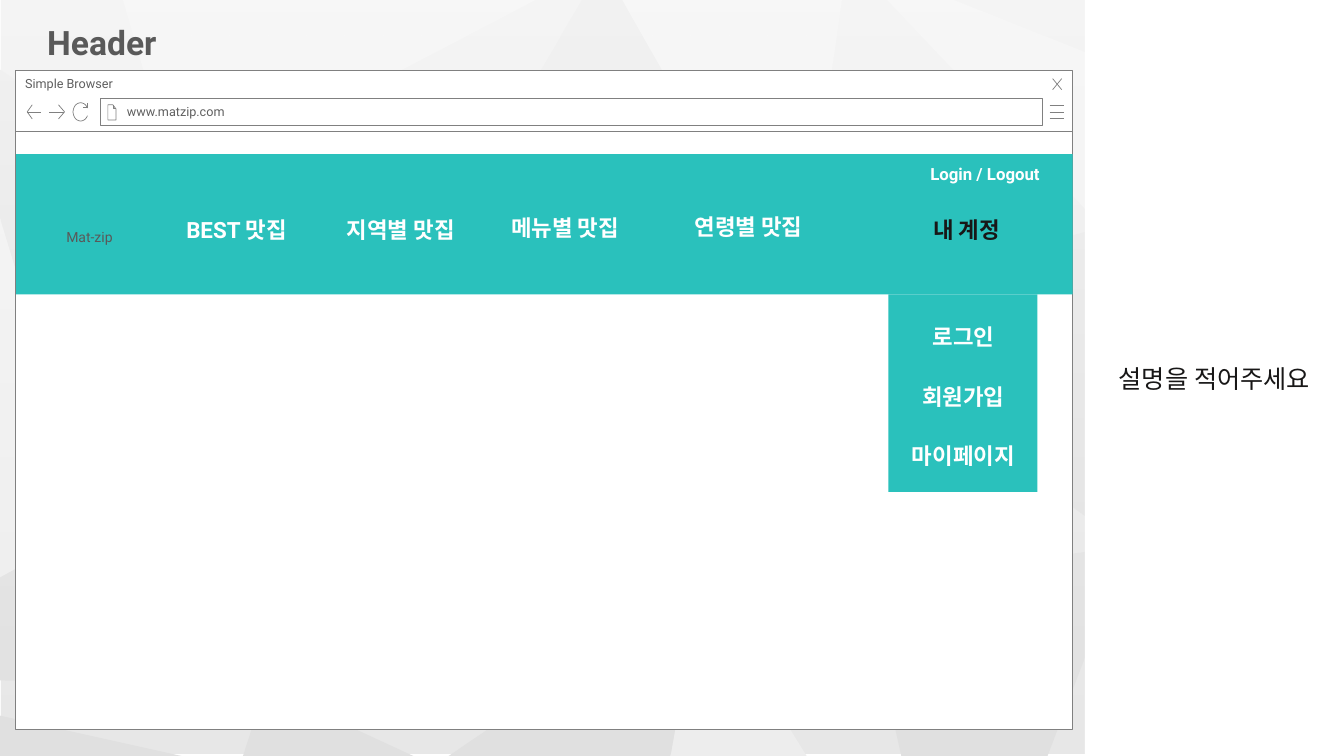
from math import cos, radians, sin

from lxml.etree import SubElement
from pptx import Presentation
from pptx.dml.color import RGBColor
from pptx.enum.shapes import MSO_SHAPE as SHAPE
from pptx.enum.text import MSO_ANCHOR as ANCHOR, PP_ALIGN as ALIGN
from pptx.oxml.ns import qn
from pptx.util import Inches, Pt

# Grid: 100 columns and 100 rows to the inch
U = Inches(0.01)
COLS, ROWS = 1333, 750
TEAL, WHITE, GREY = "2AC1BC", "FFFFFF", "808080"
INK, DARK, SOFT = "181717", "595959", "5F5F5F"

prs = Presentation()
prs.slide_width, prs.slide_height = COLS * U, ROWS * U
s = prs.slides.add_slide(prs.slide_layouts[6])


def paint(sp, fill=None, line=None, width=0.5):
    sp.shadow.inherit = False
    if fill:
        sp.fill.solid()
        sp.fill.fore_color.rgb = RGBColor.from_string(fill)
    else:
        sp.fill.background()
    if line:
        sp.line.color.rgb = RGBColor.from_string(line)
        sp.line.width = Pt(width)
    else:
        sp.line.fill.background()


def write(sp, text, size, color, bold=False, align=ALIGN.CENTER, anchor=ANCHOR.TOP):
    tf = sp.text_frame
    tf.word_wrap = True
    tf.vertical_anchor = anchor
    p = tf.paragraphs[0]
    p.text = text
    p.alignment = align
    font = p.runs[0].font
    font.name, font.size, font.bold = "Roboto", Pt(size), bold
    font.color.rgb = RGBColor.from_string(color)


# Faceted background
base = s.shapes.add_shape(SHAPE.RECTANGLE, U, 0, 1331 * U, 748 * U)
paint(base, "E7E7E7")
facets = {
    "EDEDED": [
        [(695, 580), (665, 750), (800, 750)],
        [(0, 216), (0, 573), (93, 522)],
        [(880, 0), (1094, 226), (1333, 161), (1333, 154), (946, 0)],
        [(122, 0), (176, 186), (531, 0)],
        [(617, 0), (791, 307), (835, 0)],
    ],
    "E0E0E0": [
        [(93, 522), (0, 573), (0, 675), (263, 682)],
        [(263, 682), (241, 750), (410, 750)],
        [(0, 710), (0, 750), (180, 750)],
        [(1118, 542), (855, 577), (894, 750), (1039, 750)],
        [(695, 580), (445, 750), (665, 750)],
        [(1333, 161), (791, 307), (1118, 542), (1333, 184)],
        [(0, 69), (0, 216), (93, 522), (176, 186)],
        [(577, 0), (387, 327), (791, 307), (617, 0)],
    ],
}
for color, polygons in facets.items():
    for start, *rest in polygons:
        fb = s.shapes.build_freeform(*start, scale=U)
        fb.add_line_segments(rest, close=True)
        paint(fb.convert_to_shape(), color)

# White veil fading out towards the bottom
veil = s.shapes.add_shape(SHAPE.RECTANGLE, 0, 0, COLS * U, ROWS * U)
paint(veil)
veil.fill.gradient()
veil.fill.gradient_angle = 270
for stop, position, alpha in zip(veil.fill.gradient_stops, (0, 1), (60, 0)):
    stop.position = position
    stop.color.rgb = RGBColor.from_string(WHITE)
    clr = veil._element.spPr.findall(".//" + qn("a:srgbClr"))[-1 if position else 0]
    SubElement(clr, qn("a:alpha"), val=str(alpha * 1000))

# Browser window, navigation band, drop-down and note panel
panels = {}
for name, x, y, w, h, fill, line in [
    ("page", 15, 130, 1049, 594, WHITE, GREY),
    ("title bar", 15, 70, 1049, 60, WHITE, GREY),
    ("address", 100, 98, 934, 26, WHITE, GREY),
    ("band", 16, 153, 1048, 139, TEAL, None),
    ("menu", 881, 292, 148, 196, TEAL, None),
    ("note", 1076, 0, 257, ROWS, WHITE, None),
]:
    panels[name] = s.shapes.add_shape(SHAPE.RECTANGLE, x * U, y * U, w * U, h * U)
    paint(panels[name], fill, line)

write(panels["title bar"], "Simple Browser", 9, SOFT, align=ALIGN.LEFT)
write(panels["address"], "www.matzip.com", 9, SOFT, align=ALIGN.LEFT, anchor=ANCHOR.MIDDLE)
panels["address"].text_frame.margin_left = 26 * U
write(panels["note"], "설명을 적어주세요", 18, INK, anchor=ANCHOR.MIDDLE)

# Browser icons, each a list of strokes
reload_arc = [(80 + 7.5 * cos(radians(a)), 111 + 9 * sin(radians(a)))
              for a in range(25, 336, 10)]
icons = [
    [[(1041, y), (1055, y)] for y in (105, 111, 117)],
    [[(1053, 78), (1044, 89)], [(1044, 78), (1053, 89)]],
    [[(112, 104), (112, 108), (115, 108)],
     [(107, 104), (107, 119), (115, 119), (115, 108), (112, 104), (107, 104)]],
    [[(32, 118), (27, 111), (32, 104)], [(27, 111), (41, 111)]],
    [[(58, 104), (64, 111), (58, 118)], [(63, 111), (49, 111)]],
    [[(87, 102), (87, 107), (82, 107)], reload_arc],
]
for strokes in icons:
    fb = None
    for stroke in strokes:
        start, *rest = [(round(x * 10), round(y * 10)) for x, y in stroke]
        if fb is None:
            fb = s.shapes.build_freeform(*start, scale=U / 10)
        else:
            fb.move_to(*start)
        fb.add_line_segments(rest, close=False)
    paint(fb.convert_to_shape(), line=GREY)

# Heading, navigation and drop-down labels
labels = [
    ("Header", 37, 17, 135, 50, 24, DARK, True, ALIGN.LEFT),
    ("Mat-zip", 56, 222, 83, 32, 10, DARK, False, ALIGN.LEFT),
    ("Login / Logout", 904, 158, 146, 36, 12, WHITE, True, ALIGN.CENTER),
]
labels += [(text, x, y, 145, 44, 16, color, True, ALIGN.CENTER) for text, x, y, color in [
    ("BEST 맛집", 162, 210, WHITE),
    ("지역별 맛집", 325, 210, WHITE),
    ("메뉴별 맛집", 488, 208, WHITE),
    ("연령별 맛집", 670, 207, WHITE),
    ("내 계정", 886, 210, INK),
]]
labels += [(text, 883, 316 + 59 * i, 145, 44, 16, WHITE, True, ALIGN.CENTER)
           for i, text in enumerate(["로그인", "회원가입", "마이페이지"])]
for text, x, y, w, h, size, color, bold, align in labels:
    tb = s.shapes.add_textbox(x * U, y * U, w * U, h * U)
    write(tb, text, size, color, bold, align)

prs.save("out.pptx")
